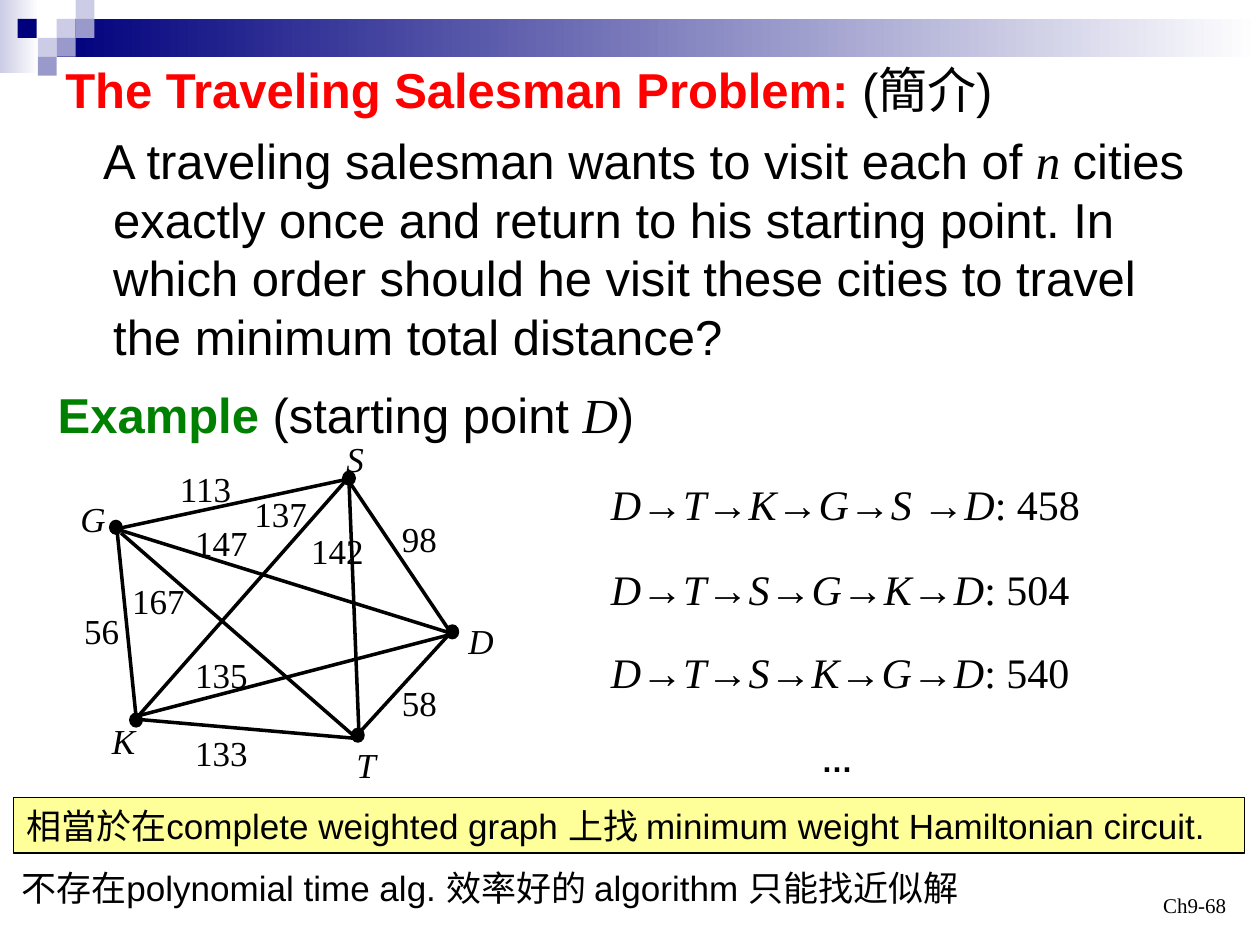
"""Build the Traveling Salesman Problem slide with its weighted graph and sample routes."""
from dataclasses import dataclass
from typing import Optional

from lxml.etree import SubElement
from pptx import Presentation
from pptx.dml.color import RGBColor
from pptx.enum.shapes import MSO_CONNECTOR as Connector, MSO_SHAPE as Shape
from pptx.enum.text import MSO_ANCHOR as Anchor, MSO_AUTO_SIZE as AutoSize, PP_ALIGN as Align
from pptx.oxml.ns import qn
from pptx.util import Inches, Pt

BLACK = RGBColor(0x00, 0x00, 0x00)
WHITE = RGBColor(0xFF, 0xFF, 0xFF)
RED = RGBColor(0xFF, 0x00, 0x00)
GREEN = RGBColor(0x00, 0x80, 0x00)
YELLOW = RGBColor(0xFF, 0xFF, 0x99)
NAVY = RGBColor(0x00, 0x00, 0x7D)
LAVENDER = RGBColor(0xCC, 0xCC, 0xE6)
PERIWINKLE = RGBColor(0x99, 0x99, 0xCC)
SANS, SERIF = "Arial", "Times New Roman"
TILE = 0.15
DOT = 0.1


@dataclass(frozen=True)
class Run:
    text: str
    font: Optional[str] = None
    italic: Optional[bool] = None
    bold: Optional[bool] = None
    color: Optional[RGBColor] = None


@dataclass(frozen=True)
class Box:
    left: float
    top: float
    width: float
    height: float

    def lengths(self) -> tuple:
        return tuple(Inches(n) for n in (self.left, self.top, self.width, self.height))


@dataclass(frozen=True)
class City:
    name: str
    dot: tuple[float, float]
    label: Box


@dataclass(frozen=True)
class Road:
    start: tuple[float, float]
    end: tuple[float, float]
    distance: str
    label: tuple[float, float]


TILES = [
    (0.45, 0.15, LAVENDER), (0.6, 0, LAVENDER), (0.6, 0.15, PERIWINKLE), (0.3, 0.3, LAVENDER),
    (0.14, 0.15, NAVY), (0.45, 0.3, PERIWINKLE), (0.3, 0.45, PERIWINKLE),
]
CITIES = [
    City("S", (2.72, 3.74), Box(2.65, 3.42, 0.34, 0.44)),
    City("D", (3.54, 4.96), Box(3.62, 4.87, 0.4, 0.44)),
    City("T", (2.79, 5.78), Box(2.73, 5.85, 0.35, 0.44)),
    City("K", (1.03, 5.66), Box(0.79, 5.66, 0.38, 0.44)),
    City("G", (0.87, 4.13), Box(0.54, 3.9, 0.4, 0.44)),
]
ROADS = [
    Road((3.59, 5.04), (2.77, 3.82), "98", (3.09, 4.06)),
    Road((0.96, 4.19), (2.82, 3.79), "113", (1.33, 3.66)),
    Road((0.96, 4.23), (2.82, 5.85), "167", (0.95, 4.55)),
    Road((1.1, 5.71), (2.82, 5.86), "133", (1.45, 5.76)),
    Road((0.93, 4.22), (1.08, 5.69), "56", (0.57, 4.79)),
    Road((2.82, 5.85), (3.56, 5.04), "58", (3.09, 5.36)),
    Road((2.74, 3.82), (1.1, 5.68), "137", (1.92, 3.86)),
    Road((2.77, 3.82), (2.85, 5.85), "142", (2.37, 4.15)),
    Road((0.96, 4.21), (3.56, 5.02), "147", (1.45, 4.09)),
    Road((1.1, 5.68), (3.56, 5.04), "135", (1.45, 5.14)),
]
ROUTES = [
    (("D", "T", "K", "G", "S ", "D"), 458),
    (("D", "T", "S", "G", "K", "D"), 504),
    (("D", "T", "S", "K", "G", "D"), 540),
]


def add_preset(slide, kind: Shape, box: Box, color: RGBColor, outlined: bool = False):
    shape = slide.shapes.add_shape(kind, *box.lengths())
    shape.shadow.inherit = False
    shape.fill.solid()
    shape.fill.fore_color.rgb = color
    if outlined:
        shape.line.color.rgb = BLACK
        shape.line.width = Pt(0.75)
    else:
        shape.line.fill.background()
    return shape


def add_fade(slide, box: Box, color: RGBColor) -> None:
    fill = add_preset(slide, Shape.RECTANGLE, box, color).fill
    fill.gradient()
    fill.gradient_angle = 0
    for stop, position, stop_color in zip(fill.gradient_stops, (0, 1), (color, WHITE)):
        stop.position = position
        stop.color.rgb = stop_color


def write(paragraph, runs: list[Run], size: int, font: str) -> None:
    paragraph.alignment = Align.LEFT
    paragraph.font.size = Pt(size)
    paragraph.font.name = font
    paragraph.font.color.rgb = BLACK
    for item in runs:
        run = paragraph.add_run()
        run.text = item.text
        if item.font:
            run.font.name = item.font
        if item.italic is not None:
            run.font.italic = item.italic
        if item.bold is not None:
            run.font.bold = item.bold
        if item.color is not None:
            run.font.color.rgb = item.color


def add_text(slide, box: Box, runs: list[Run], size: int, font: str, wrap: bool = False):
    frame = slide.shapes.add_textbox(*box.lengths()).text_frame
    frame.word_wrap = wrap
    frame.auto_size = AutoSize.SHAPE_TO_FIT_TEXT
    write(frame.paragraphs[0], runs, size, font)
    return frame


def add_road(slide, road: Road) -> None:
    ends = [Inches(n) for n in road.start + road.end]
    connector = slide.shapes.add_connector(Connector.STRAIGHT, *ends)
    connector.line.color.rgb = BLACK
    connector.line.width = Pt(2)
    SubElement(connector._element.spPr, qn("a:effectLst"))
    width = 0.62 if len(road.distance) == 3 else 0.48
    add_text(slide, Box(*road.label, width, 0.44), [Run(road.distance)], 20, SERIF)


def add_city(slide, city: City) -> None:
    add_preset(slide, Shape.FLOWCHART_CONNECTOR, Box(*city.dot, DOT, 0.11), BLACK, True)
    add_text(slide, city.label, [Run(city.name, italic=True)], 20, SERIF)


def add_route(slide, top: float, stops: tuple[str, ...], total: int) -> None:
    runs = [Run(stops[0], italic=True)]
    for stop in stops[1:]:
        runs += [Run("→", SANS), Run(stop, italic=True)]
    runs.append(Run(f": {total}"))
    add_text(slide, Box(4.75, top, 4.58, 0.5), runs, 24, SERIF, True)


def add_problem(slide) -> None:
    heading = [Run("The Traveling Salesman Problem: ", bold=True, color=RED), Run("(簡介)")]
    frame = add_text(slide, Box(0.42, 0.42, 9.25, 2.53), heading, 28, SANS, True)
    question = frame.add_paragraph()
    properties = question._p.get_or_add_pPr()
    properties.set("marL", str(Inches(0.38)))
    properties.set("indent", str(Inches(-0.08)))
    question.space_before = Pt(7)
    write(question, [
        Run("A traveling salesman wants to visit each of "),
        Run("n ", SERIF, True),
        Run("cities exactly once and return to his starting point. In which order "
            "should he visit these cities to travel the minimum total distance?"),
    ], 28, SANS)


def add_conclusion(slide) -> None:
    banner = add_preset(slide, Shape.RECTANGLE, Box(0.11, 6.33, 9.77, 0.44), YELLOW, True)
    banner.text_frame.word_wrap = False
    write(banner.text_frame.paragraphs[0], [
        Run("相當於在complete weighted graph 上找 minimum weight Hamiltonian circuit.")], 20, SANS)
    add_text(slide, Box(0.07, 6.83, 7.91, 0.44), [
        Run("不存在polynomial time alg. 效率好的 algorithm 只能找近似解")], 20, SANS)


def main() -> None:
    presentation = Presentation()
    presentation.slide_width, presentation.slide_height = Inches(10), Inches(7.5)
    slide = presentation.slides.add_slide(presentation.slide_layouts[6])
    add_fade(slide, Box(0, 0, 0.31, 0.58), LAVENDER)
    add_fade(slide, Box(0.45, 0.15, 9.55, 0.3), NAVY)
    for left, top, color in TILES:
        add_preset(slide, Shape.RECTANGLE, Box(left, top, TILE, TILE), color)
    number = add_text(slide, Box(7.5, 6.83, 2.33, 0.5), [Run("Ch9-68")], 12, SERIF, True)
    number.auto_size = AutoSize.NONE
    number.vertical_anchor = Anchor.BOTTOM
    number.paragraphs[0].alignment = Align.RIGHT
    add_problem(slide)
    for road in ROADS:
        add_road(slide, road)
    for city in CITIES:
        add_city(slide, city)
    add_text(slide, Box(0.36, 3, 4.88, 0.57), [
        Run("Example ", bold=True, color=GREEN), Run("(starting point "),
        Run("D", SERIF, True), Run(")")], 28, SANS)
    for index, (stops, total) in enumerate(ROUTES):
        add_route(slide, round(3.75 + index * 0.665, 2), stops, total)
    add_text(slide, Box(6.42, 5.83, 0.45, 0.4), [Run("…", bold=True)], 18, SANS)
    add_conclusion(slide)
    presentation.save("out.pptx")


if __name__ == "__main__":
    main()
